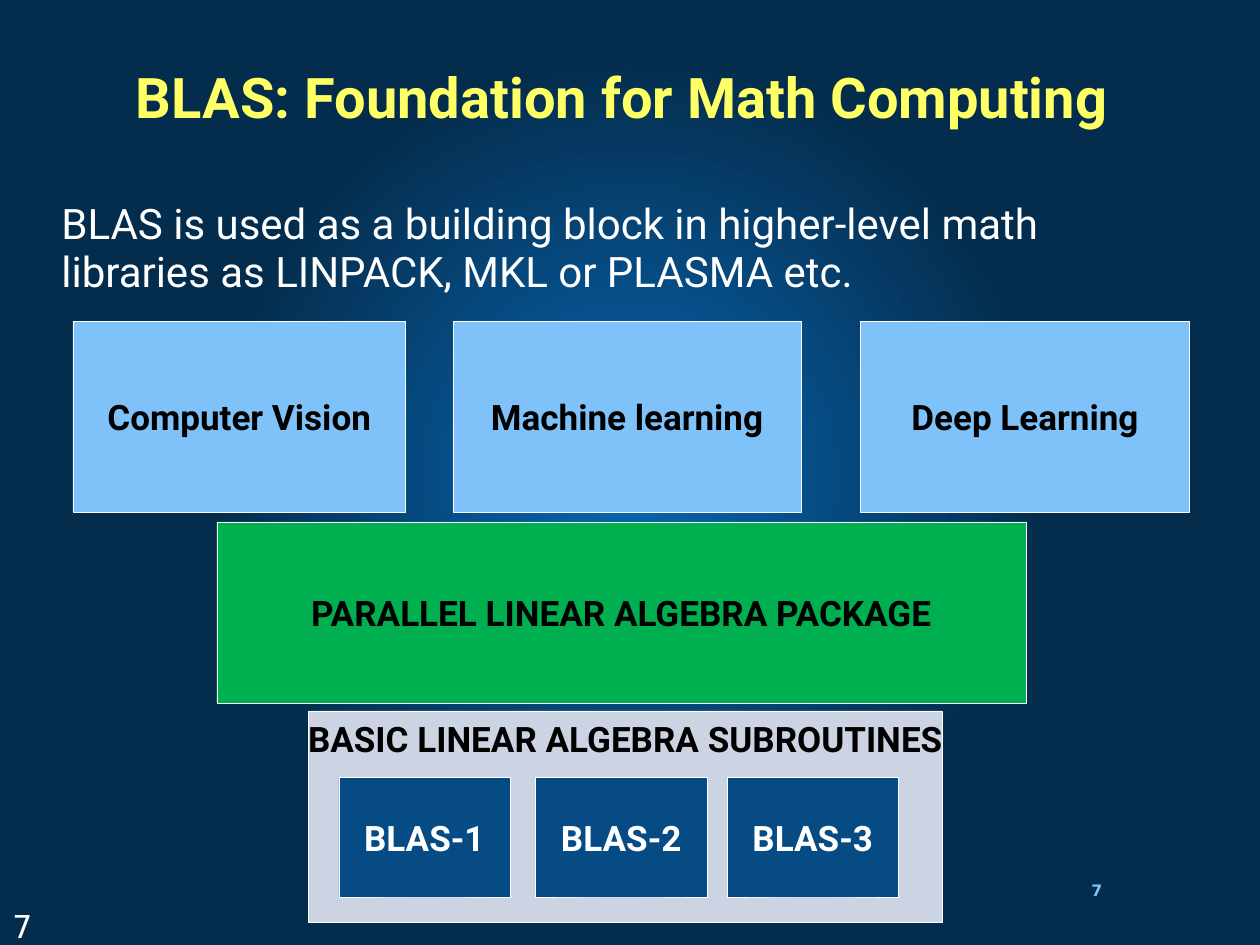
from lxml import etree
from pptx import Presentation
from pptx.dml.color import RGBColor
from pptx.enum.shapes import MSO_SHAPE
from pptx.enum.text import MSO_ANCHOR, PP_ALIGN
from pptx.oxml.ns import qn
from pptx.util import Cm, Pt

RECTANGLE = MSO_SHAPE.RECTANGLE
TOP, MIDDLE = MSO_ANCHOR.TOP, MSO_ANCHOR.MIDDLE
LEFT, CENTER = PP_ALIGN.LEFT, PP_ALIGN.CENTER

WHITE = RGBColor(0xFF, 0xFF, 0xFF)
BLACK = RGBColor(0x00, 0x00, 0x00)
YELLOW = RGBColor(0xFF, 0xFF, 0x66)
SKY = RGBColor(0x7F, 0xC2, 0xF9)
GREEN = RGBColor(0x00, 0xB0, 0x50)
GREY = RGBColor(0xCC, 0xD3, 0xE3)
BLUE = RGBColor(0x06, 0x4B, 0x84)
GLOW = RGBColor(0x08, 0x60, 0xA8)
NAVY = RGBColor(0x04, 0x2D, 0x4D)

BODY_FONT = "Roboto"
NUMBER_FONT = "DejaVu Sans"


def set_background(page):
    fill = page.background.fill
    fill.gradient()
    for stop, position, color in zip(fill.gradient_stops, (0.06, 0.53), (GLOW, NAVY)):
        stop.position = position
        stop.color.rgb = color
    gradient = page._element.find(".//" + qn("a:gradFill"))
    gradient.remove(gradient.find(qn("a:lin")))
    circle = etree.SubElement(gradient, qn("a:path"), {"path": "circle"})
    sides = dict.fromkeys(("l", "t", "r", "b"), "50000")
    etree.SubElement(circle, qn("a:fillToRect"), sides)


def write(shape, text, size, color, bold, align, anchor, font=BODY_FONT, spacing=None):
    frame = shape.text_frame
    frame.vertical_anchor = anchor
    para = frame.paragraphs[0]
    para.text = text
    para.alignment = align
    para.line_spacing = spacing
    para.font.name = font
    para.font.size = Pt(size)
    para.font.bold = bold
    para.font.color.rgb = color


def add_text(page, bounds, text, size, color, bold=False, align=LEFT, anchor=TOP, **style):
    box = page.shapes.add_textbox(*map(Cm, bounds))
    box.text_frame.word_wrap = True
    write(box, text, size, color, bold, align, anchor, **style)
    return box


def add_block(page, bounds, text, fill, color=BLACK, anchor=MIDDLE):
    block = page.shapes.add_shape(RECTANGLE, *map(Cm, bounds))
    block.shadow.inherit = False
    block.fill.solid()
    block.fill.fore_color.rgb = fill
    block.line.color.rgb = WHITE
    block.line.width = Pt(0.25)
    block.text_frame.word_wrap = False
    write(block, text, 20, color, True, CENTER, anchor)


def add_numbers(page):
    corner = add_text(page, (21.54, 17.53, 1.14, 0.84), "7", 9, SKY, True,
                      CENTER, MIDDLE, font=NUMBER_FONT)
    frame = corner.text_frame
    frame.margin_left = frame.margin_right = 0
    frame.margin_top = frame.margin_bottom = 0
    add_text(page, (0, 18.16, 1.27, 0.61), "7", 18, WHITE, font=NUMBER_FONT)


def add_stack(page):
    applications = (
        ("Computer Vision", 1.47, 6.71),
        ("Machine learning", 9.14, 7.01),
        ("Deep Learning", 17.35, 6.63),
    )
    for name, left, width in applications:
        add_block(page, (left, 6.48, width, 3.84), name, SKY)
    add_block(page, (4.37, 10.52, 16.31, 3.66), "PARALLEL LINEAR ALGEBRA PACKAGE", GREEN)
    add_block(page, (6.22, 14.33, 12.78, 4.27), "BASIC LINEAR ALGEBRA SUBROUTINES",
              GREY, anchor=TOP)
    for level, left in enumerate((6.83, 10.8, 14.66), start=1):
        add_block(page, (left, 15.67, 3.45, 2.41), f"BLAS-{level}", BLUE, WHITE)


def main():
    deck = Presentation()
    deck.slide_width, deck.slide_height = Cm(25.4), Cm(19.05)
    page = deck.slides.add_slide(deck.slide_layouts[6])
    set_background(page)
    add_text(page, (0.99, 0.43, 23.39, 3.18), "BLAS: Foundation for Math Computing ",
             32, YELLOW, True, CENTER, MIDDLE, spacing=0.9)
    add_text(page, (0.99, 3.94, 23.34, 2.54),
             "BLAS is used as a building block in higher-level math "
             "libraries as LINPACK, MKL or PLASMA etc.", 24, WHITE, spacing=0.95)
    add_stack(page)
    add_numbers(page)
    deck.save("out.pptx")


main()
